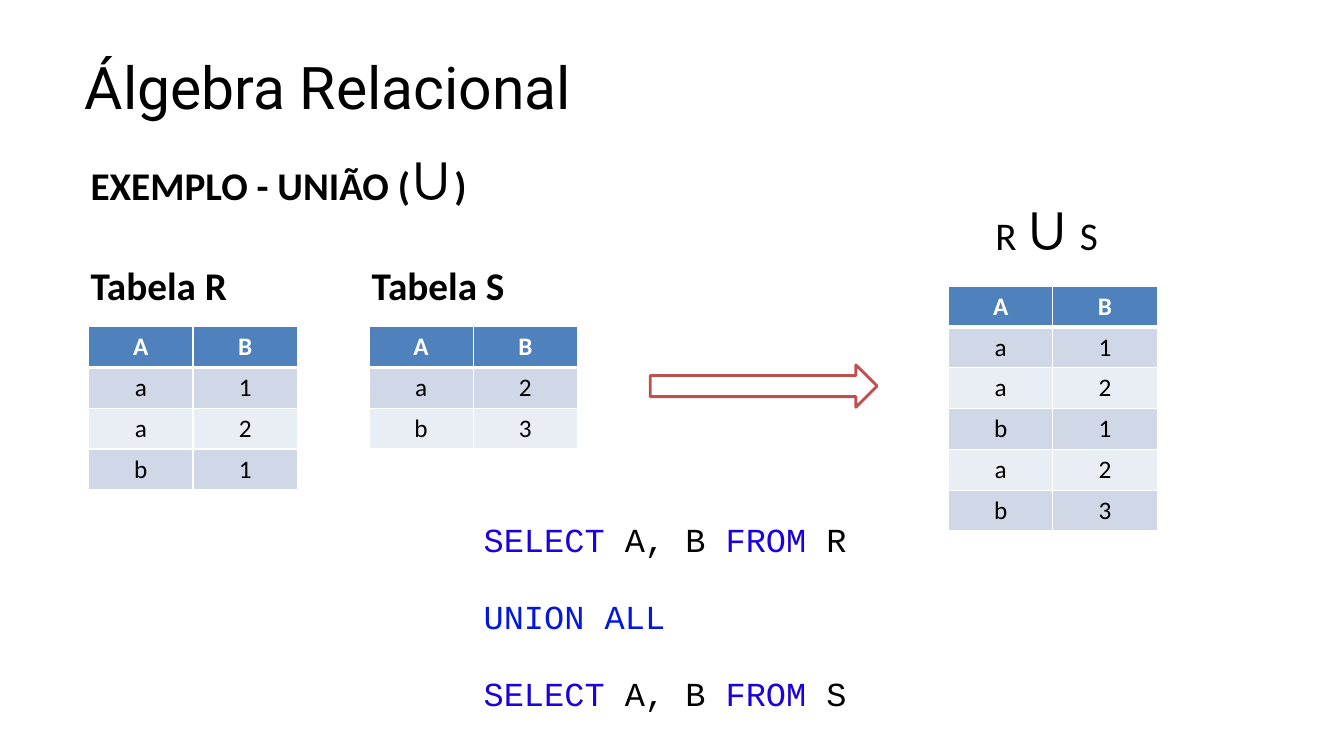
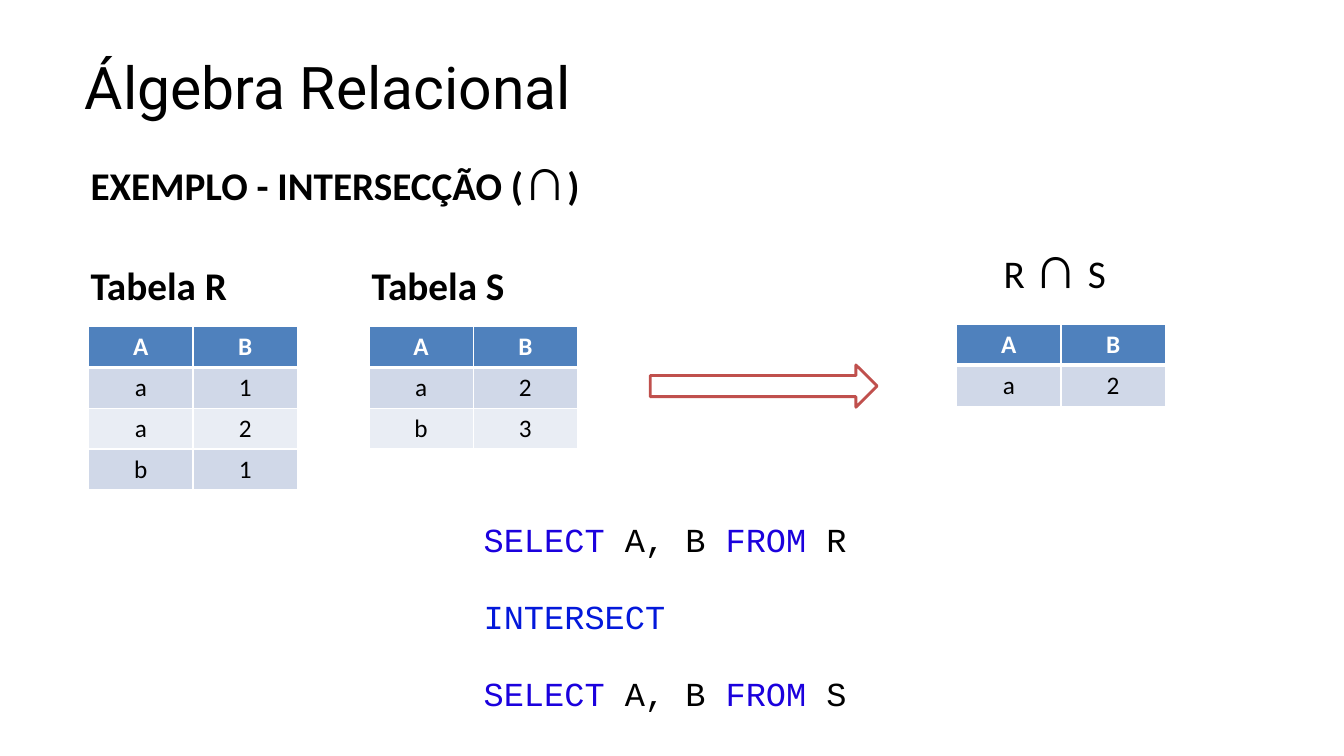
from lxml.etree import SubElement
from pptx import Presentation
from pptx.dml.color import RGBColor
from pptx.enum.shapes import MSO_SHAPE
from pptx.enum.text import PP_ALIGN
from pptx.oxml.ns import qn
from pptx.util import Inches, Pt

WIDTH, HEIGHT = Inches(13.33), Inches(7.5)
COLOURS = {
    "text": "000000", "paper": "FFFFFF", "header": "4F81BD",
    "odd": "D0D8E8", "even": "E9EDF4", "arrow": "C0504D",
    "keyword": "1B01DD", "operator": "0318DB",
}
COLUMN, ROW = 7.76, 5.4
TABLE_R = [("A", "B"), ("a", "1"), ("a", "2"), ("b", "1")]
TABLE_S = [("A", "B"), ("a", "2"), ("b", "3")]
EXAMPLES = [
    {"name": "UNIÃO", "symbol": "∪", "sql": "UNION ALL",
     "result": TABLE_R + TABLE_S[1:], "left": 70.58, "top": 37.87},
    {"name": "INTERSECÇÃO", "symbol": "∩", "sql": "INTERSECT",
     "result": [("A", "B"), ("a", "2")], "left": 71.18, "top": 42.93},
]


def colour(name):
    return RGBColor.from_string(COLOURS[name])


def across(percent):
    return round(WIDTH * percent / 100)


def down(percent):
    return round(HEIGHT * percent / 100)


def place(left, top, width, height):
    return across(left), down(top), across(width), down(height)


def write(para, text, size=28, font="Calibri", ink="text", bold=False):
    span = para.add_run()
    span.text = text
    span.font.size = Pt(size)
    span.font.name = font
    span.font.bold = bold
    span.font.color.rgb = colour(ink)


def add_text(page, area, paragraphs, insets=(0.1, 0.05, 0.1, 0.05),
             before=0, gap=0, line=1.0, tab=None, **style):
    frame = page.shapes.add_textbox(*place(*area)).text_frame
    frame.word_wrap = True
    (frame.margin_left, frame.margin_top,
     frame.margin_right, frame.margin_bottom) = map(Inches, insets)
    for index, spans in enumerate(paragraphs):
        para = frame.add_paragraph() if index else frame.paragraphs[0]
        para.space_before = Pt(gap if index else before)
        para.line_spacing = line
        if tab:
            stops = SubElement(para._p.get_or_add_pPr(), qn("a:tabLst"))
            SubElement(stops, qn("a:tab"), pos=str(across(tab)), algn="l")
        for text, changes in spans:
            write(para, text, **{**style, **changes})


def add_borders(cell, bottom):
    properties = cell._tc.get_or_add_tcPr()
    for index, (side, points) in enumerate(
            [("lnL", 1), ("lnR", 1), ("lnT", 1), ("lnB", bottom)]):
        line = properties.makeelement(qn(f"a:{side}"), {"w": str(Pt(points))})
        fill = SubElement(line, qn("a:solidFill"))
        SubElement(fill, qn("a:srgbClr"), val=COLOURS["paper"])
        properties.insert(index, line)


def add_relation(page, left, top, rows):
    area = place(left, top, COLUMN * len(rows[0]), ROW * len(rows))
    table = page.shapes.add_table(len(rows), len(rows[0]), *area).table
    for column in table.columns:
        column.width = across(COLUMN)
    for number, values in enumerate(rows):
        table.rows[number].height = down(ROW)
        header = number == 0
        shade = "header" if header else ("even", "odd")[number % 2]
        for position, value in enumerate(values):
            cell = table.cell(number, position)
            cell.fill.solid()
            cell.fill.fore_color.rgb = colour(shade)
            add_borders(cell, 3 if header else 1)
            para = cell.text_frame.paragraphs[0]
            para.alignment = PP_ALIGN.CENTER
            write(para, value, size=18, bold=header,
                  ink="paper" if header else "text")


def add_arrow(page, area):
    arrow = page.shapes.add_shape(MSO_SHAPE.RIGHT_ARROW, *place(*area))
    arrow.shadow.inherit = False
    arrow.fill.solid()
    arrow.fill.fore_color.rgb = colour("paper")
    arrow.line.color.rgb = colour("arrow")
    arrow.line.width = Pt(2)


def select(relation):
    keyword = {"ink": "keyword"}
    return [("SELECT", keyword), (" A, B ", {}),
            ("FROM", keyword), (f" {relation}", {})]


def add_example(deck, example):
    page = deck.slides.add_slide(deck.slide_layouts[6])
    symbol = (example["symbol"], {"size": 44, "font": "Arial", "bold": False})
    left, top = example["left"], example["top"]

    add_text(page, (35.25, 67.73, 28.65, 26.4),
             [select("R"), [(example["sql"], {"ink": "operator"})], select("S")],
             insets=(0.1, 0.1, 0.1, 0.05), gap=28.3, line=0.93,
             size=24, font="Courier New")
    add_text(page, (6.23, 6.53, 67.65, 9.6), [[("Álgebra Relacional", {})]],
             insets=(0.01, 0.01, 0, 0), before=1.1, size=42, font="Roboto")
    add_text(page, (6, 17.73, 47.78, 23.73),
             [[(f"EXEMPLO - {example['name']} (", {}), symbol, (")", {})],
              [("Tabela R\tTabela S", {})]],
             gap=34.2, tab=20.92, bold=True)
    add_relation(page, 6.6, 43.2, TABLE_R)
    add_relation(page, 27.45, 43.2, TABLE_S)
    add_text(page, (left + 2.75, top - 12.67, 9.98, 10.53),
             [[("R ", {}), symbol, (" ", {"font": "Times New Roman"}), ("S", {})]],
             line=0.93)
    add_arrow(page, (48.38, 48.27, 16.88, 5.6))
    add_relation(page, left, top, example["result"])


def main():
    deck = Presentation()
    deck.slide_width, deck.slide_height = WIDTH, HEIGHT
    for example in EXAMPLES:
        add_example(deck, example)
    deck.save("out.pptx")


main()
